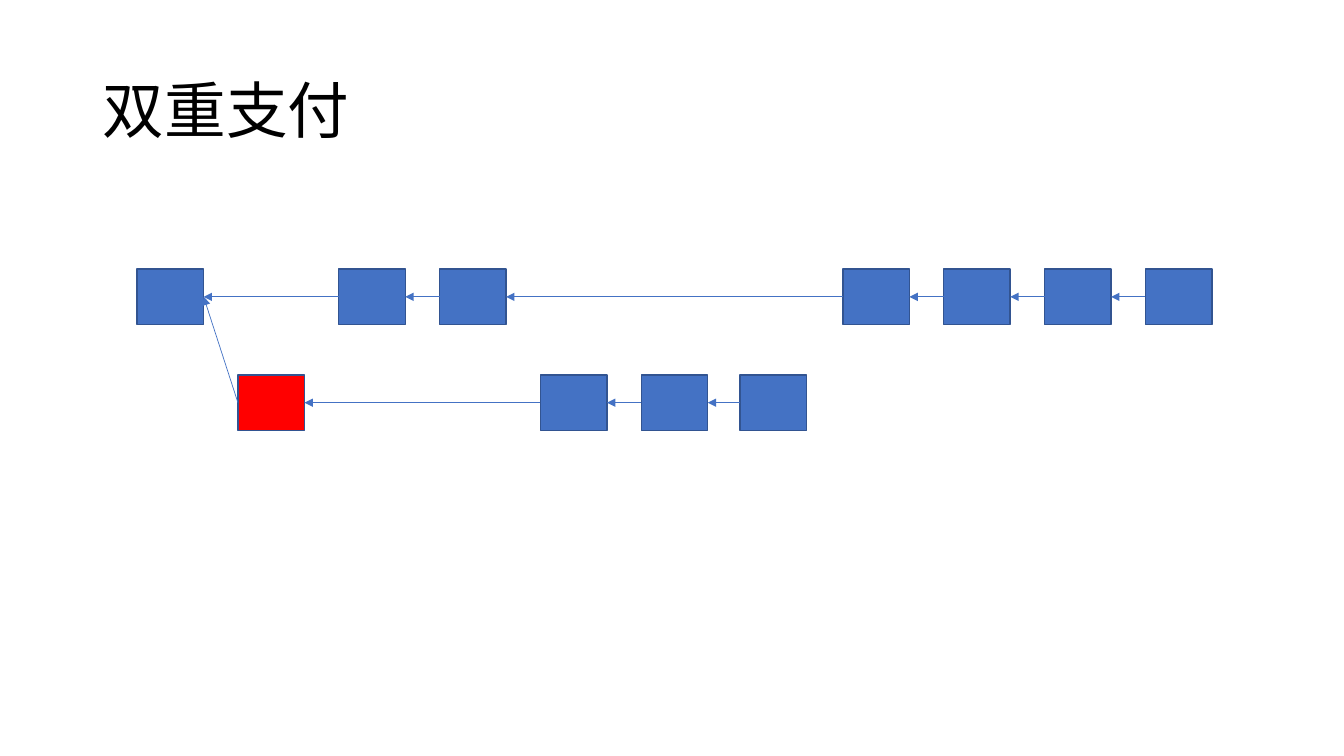
from itertools import pairwise

from lxml import etree
from pptx import Presentation
from pptx.dml.color import RGBColor
from pptx.enum.shapes import MSO_CONNECTOR as Connector, MSO_SHAPE as Shape
from pptx.enum.text import MSO_ANCHOR as Anchor, PP_ALIGN as Align
from pptx.oxml.ns import qn
from pptx.util import Inches, Pt

BLACK = RGBColor(0x00, 0x00, 0x00)
BLUE = RGBColor(0x44, 0x72, 0xC4)
DARK_BLUE = RGBColor(0x32, 0x54, 0x91)
RED = RGBColor(0xFF, 0x00, 0x00)

LEFT, RIGHT = 1, 3  # connection sites of a rectangle


class ChainSlide:
    font_name = "Noto Sans CJK SC"
    block_width, block_height = Inches(0.66), Inches(0.55)

    def __init__(self, slide):
        self.slide = slide

    def title(self, text, left, top, width, height):
        title = self.slide.shapes.title
        title.left, title.top = Inches(left), Inches(top)
        title.width, title.height = Inches(width), Inches(height)
        frame = title.text_frame
        frame.text = text
        frame.word_wrap = True
        frame.vertical_anchor = Anchor.MIDDLE
        heading = frame.paragraphs[0]
        heading.alignment = Align.LEFT
        heading.line_spacing = 0.9
        heading.font.size = Pt(44)
        heading.font.color.rgb = BLACK
        heading.font.name = self.font_name
        # East Asian typeface
        defaults = heading._p.pPr.find(qn("a:defRPr"))
        etree.SubElement(defaults, qn("a:ea"), typeface=self.font_name)

    def block(self, left, top, color=BLUE):
        block = self.slide.shapes.add_shape(
            Shape.RECTANGLE, Inches(left), Inches(top),
            self.block_width, self.block_height)
        block.shadow.inherit = False
        block.fill.solid()
        block.fill.fore_color.rgb = color
        block.line.color.rgb = DARK_BLUE
        block.line.width = Pt(1)
        return block

    def link(self, block, parent):
        """Draw an arrow from a block back to its parent."""
        arrow = self.slide.shapes.add_connector(Connector.STRAIGHT, 0, 0, 0, 0)
        arrow.begin_connect(block, LEFT)
        arrow.end_connect(parent, RIGHT)
        arrow.line.color.rgb = BLUE
        arrow.line.width = Pt(0.5)
        etree.SubElement(arrow.line._get_or_add_ln(), qn("a:tailEnd"), type="triangle")
        etree.SubElement(arrow._element.spPr, qn("a:effectLst"))

    def chain(self, blocks):
        for parent, block in pairwise(blocks):
            self.link(block, parent)


def main():
    deck = Presentation()
    deck.slide_width, deck.slide_height = Inches(13.33), Inches(7.5)
    page = ChainSlide(deck.slides.add_slide(deck.slide_layouts[5]))

    page.title("双重支付", 0.92, 0.4, 11.5, 1.45)

    # Main chain
    main_lefts = (1.36, 3.36, 4.36, 8.36, 9.36, 10.36, 11.36)
    main_chain = [page.block(left, 2.67) for left in main_lefts]

    # Fork that starts with the double-spending block
    fork_top = 3.72
    double_spend = page.block(2.36, fork_top, RED)
    fork = [page.block(left, fork_top) for left in (5.36, 6.36, 7.34)]

    # Links to the parent blocks
    page.chain(main_chain)
    page.chain([main_chain[0], double_spend, *fork])

    deck.save("out.pptx")


if __name__ == "__main__":
    main()
